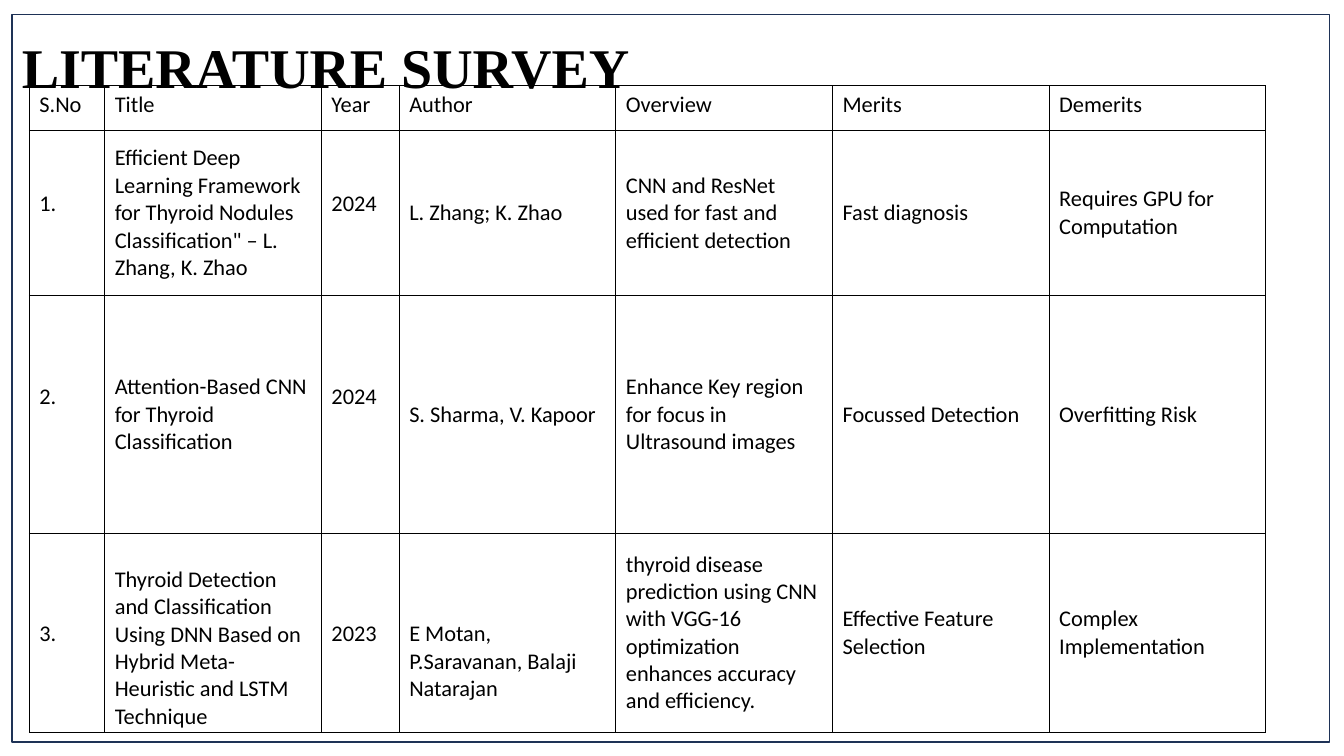
import pptx
import pptx.dml.color
import pptx.enum.shapes
import pptx.enum.text
import pptx.oxml
import pptx.oxml.ns
import pptx.util

Cm = pptx.util.Cm
Pt = pptx.util.Pt
MIDDLE = pptx.enum.text.MSO_ANCHOR.MIDDLE
TOP = pptx.enum.text.MSO_ANCHOR.TOP

HEADS = ["S.No", "Title", "Year", "Author", "Overview", "Merits", "Demerits"]
PAPERS = [
    ["1.", 'Efficient Deep Learning Framework for Thyroid Nodules Classification" – L. Zhang, K. Zhao',
     "2024", "L. Zhang; K. Zhao", "CNN and ResNet used for fast and efficient detection",
     "Fast diagnosis", "Requires GPU for Computation"],
    ["2.", "Attention-Based CNN for Thyroid Classification",
     "2024", "S. Sharma, V. Kapoor", "Enhance Key region for focus in Ultrasound images",
     "Focussed Detection", "Overfitting Risk"],
    ["3.", "Thyroid Detection and Classification Using DNN Based on Hybrid Meta-Heuristic and LSTM Technique",
     "2023", "E Motan, P.Saravanan, Balaji Natarajan",
     "thyroid disease prediction using CNN with VGG-16 optimization enhances accuracy and efficiency.",
     "Effective Feature Selection", "Complex Implementation"],
]
# Lines of space above the text of top-anchored cells, by column; other cells are centred
DROPS = [dict.fromkeys(range(7), 0), {0: 2, 2: 2}, {0: 3, 2: 3}, {0: 3, 1: 1, 2: 3, 3: 3}]
WIDE = 5.46
COLS = [1.9, WIDE, 1.96] + [WIDE] * 4
ROWS = [1.12, 4.17, 5.99, 4.78]


def color(code):
    return pptx.dml.color.RGBColor.from_string(code)


class Deck:
    ink = "000000"
    frame = "1E3256"
    head = "Times New Roman"
    body = "Calibri"
    line = 0.69
    pad = 0.13

    def __init__(self):
        self.show = pptx.Presentation()
        self.show.slide_width = Cm(33.87)
        self.show.slide_height = Cm(19.05)
        self.slide = self.show.slides.add_slide(self.show.slide_layouts[6])

    def text(self, frame, words, font, size, bold=False):
        run = frame.paragraphs[0].add_run()
        run.text = words
        run.font.name = font
        run.font.size = Pt(size)
        run.font.bold = bold
        run.font.color.rgb = color(self.ink)

    def title(self, words, *box):
        frame = self.slide.shapes.add_textbox(*map(Cm, box)).text_frame
        frame.word_wrap = True
        frame.margin_left = frame.margin_right = Cm(0.25)
        frame.margin_top = Cm(0.4)
        self.text(frame, words, self.head, 40, True)

    def border(self, *box):
        kind = pptx.enum.shapes.MSO_SHAPE.RECTANGLE
        shape = self.slide.shapes.add_shape(kind, *map(Cm, box))
        shape.shadow.inherit = False
        shape.fill.background()
        shape.line.color.rgb = color(self.frame)
        shape.line.width = Pt(1)

    def edge(self, cell):
        """Draw a thin line on all four sides of a cell."""
        props = cell._tc.get_or_add_tcPr()
        for side in "LRTB":
            props.append(pptx.oxml.parse_xml(
                f'<a:ln{side} {pptx.oxml.ns.nsdecls("a")} w="{Pt(1)}"><a:solidFill>'
                f'<a:srgbClr val="{self.ink}"/></a:solidFill></a:ln{side}>'))

    def cell(self, cell, words, drop):
        self.edge(cell)
        cell.fill.background()
        cell.vertical_anchor = MIDDLE if drop is None else TOP
        cell.margin_top = Cm(self.pad + self.line * (drop or 0))
        self.text(cell.text_frame, words, self.body, 16)

    def table(self, rows, left, top):
        box = map(Cm, (left, top, sum(COLS), sum(ROWS)))
        grid = self.slide.shapes.add_table(len(ROWS), len(COLS), *box).table
        grid.first_row = grid.horz_banding = False
        for col, width in zip(grid.columns, COLS):
            col.width = Cm(width)
        for r, (row, height) in enumerate(zip(grid.rows, ROWS)):
            row.height = Cm(height)
            for c, words in enumerate(rows[r]):
                self.cell(grid.cell(r, c), words, DROPS[r].get(c))


def main():
    deck = Deck()
    deck.title("LITERATURE SURVEY", 0.3, 0.41, 19.08, 2.16)
    deck.border(0.3, 0.36, 33.2, 18.34)
    deck.table([HEADS] + PAPERS, 0.74, 2.16)
    deck.show.save("out.pptx")


if __name__ == "__main__":
    main()
